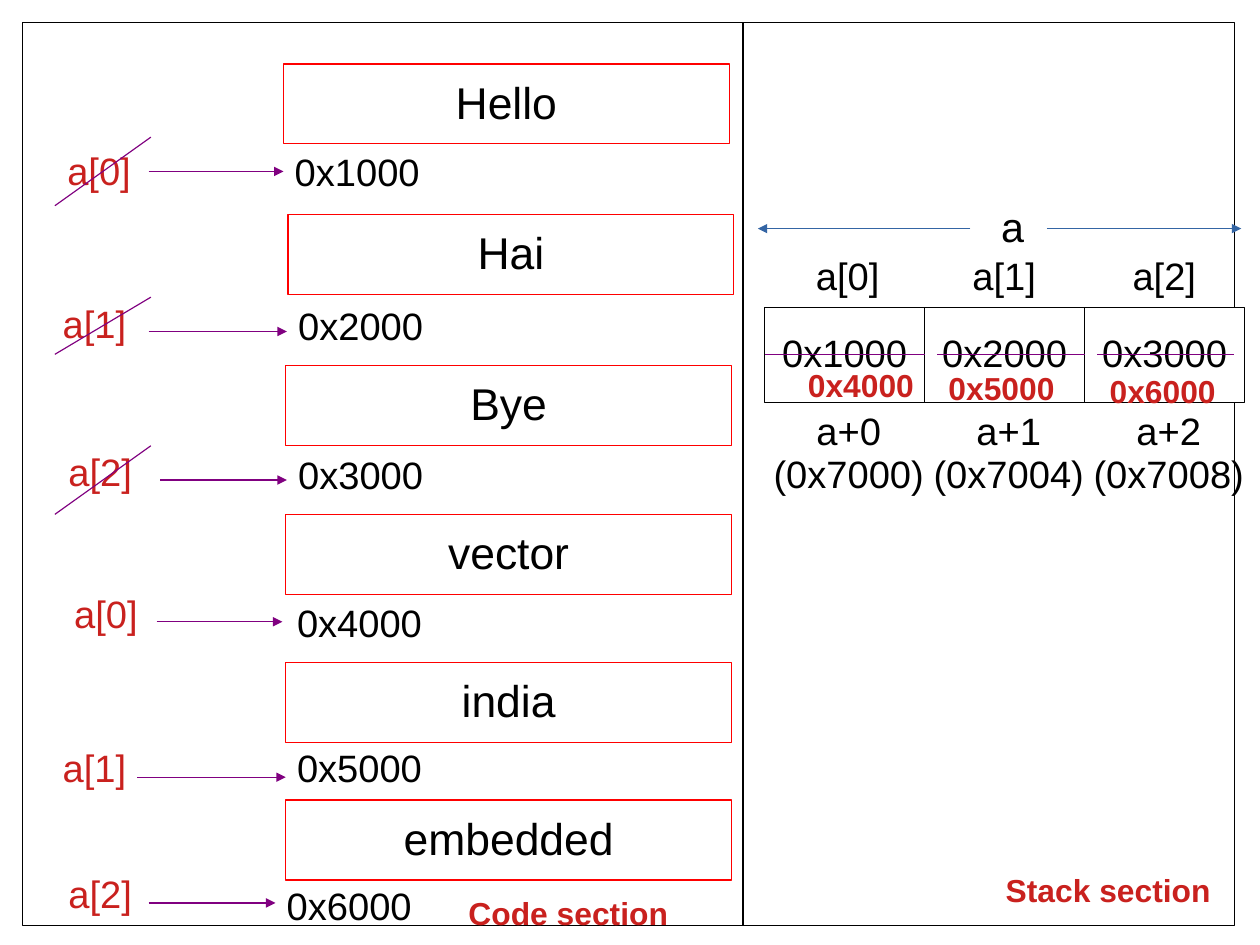
from lxml.etree import SubElement
from pptx import Presentation
from pptx.dml.color import RGBColor
from pptx.enum.shapes import MSO_CONNECTOR as CONN, MSO_SHAPE as SHAPE
from pptx.enum.text import MSO_ANCHOR as ANCHOR, PP_ALIGN as ALIGN
from pptx.oxml.ns import qn
from pptx.util import Inches, Pt

BLACK, WHITE, RED, CRIMSON = "000000", "FFFFFF", "FF0000", "C9211E"
PURPLE, BLUE = "800080", "3465A4"

# Code section: word, box (x, y), address, its (x, y),
# pointer, its (x, y), arrow (x1, x2, y), bottom of the strike or None
STRINGS = [
    ("Hello", (2.48, 0.56), "0x1000", (2.48, 1.28), "a[0]", (0.49, 1.27), (1.3, 2.48, 1.5), 1.8),
    ("Hai", (2.52, 1.88), "0x2000", (2.51, 2.63), "a[1]", (0.45, 2.61), (1.3, 2.51, 2.9), 3.1),
    ("Bye", (2.5, 3.2), "0x3000", (2.51, 3.93), "a[2]", (0.5, 3.91), (1.4, 2.51, 4.2), 4.5),
    ("vector", (2.5, 4.5), "0x4000", (2.5, 5.23), "a[0]", (0.55, 5.15), (1.37, 2.47, 5.44), None),
    ("india", (2.5, 5.8), "0x5000", (2.5, 6.5), "a[1]", (0.45, 6.5), (1.2, 2.5, 6.8), None),
    ("embedded", (2.5, 7), "0x6000", (2.41, 7.7), "a[2]", (0.5, 7.6), (1.3, 2.41, 7.9), None),
]
# Stack section: name, name x, old value, new value, its (x, y),
# offset, cell address, strike (x1, x2)
CELLS = [
    ("a[0]", 7.04, "0x1000", "0x4000", (6.97, 3.18), "a+0", "(0x7000)", (6.69, 8.09)),
    ("a[1]", 8.41, "0x2000", "0x5000", (8.2, 3.2), "a+1", "(0x7004)", (8.2, 9.49)),
    ("a[2]", 9.81, "0x3000", "0x6000", (9.61, 3.23), "a+2", "(0x7008)", (9.6, 10.8)),
]
CELL_X, CELL_Y, CELL_W, CELL_H = 6.69, 2.69, 1.4, 0.83
STRIKE_X1, STRIKE_X2, STRIKE_RISE = 1.32, 0.48, 0.3

# Slide of 28 by 21 cm
prs = Presentation()
prs.slide_width, prs.slide_height = Inches(28 / 2.54), Inches(21 / 2.54)
s = prs.slides.add_slide(prs.slide_layouts[6])


def rgb(color):
    return RGBColor.from_string(color)


def write(shape, text, size, color=BLACK, bold=False, align=ALIGN.LEFT, wrap=False):
    tf = shape.text_frame
    tf.text = text
    tf.word_wrap = wrap
    for p in tf.paragraphs:
        p.alignment, p.line_spacing = align, 0.94
        for r in p.runs:
            r.font.name, r.font.size, r.font.bold = "Arial", Pt(size), bold
            r.font.color.rgb = rgb(color)
    return tf


def rect(x, y, w, h, line, text="", size=24):
    sp = s.shapes.add_shape(SHAPE.RECTANGLE, Inches(x), Inches(y), Inches(w), Inches(h))
    sp.shadow.inherit = False
    sp.fill.solid()
    sp.fill.fore_color.rgb = rgb(WHITE)
    sp.line.color.rgb, sp.line.width = rgb(line), Pt(0.75)
    if text:
        write(sp, text, size, align=ALIGN.CENTER).vertical_anchor = ANCHOR.MIDDLE
    return sp


def label(x, y, w, h, text, size=24, color=BLACK, **style):
    sp = s.shapes.add_textbox(Inches(x), Inches(y), Inches(w), Inches(h))
    tf = write(sp, text, size, color, **style)
    if not tf.word_wrap:
        tf.margin_right = 0  # room to keep the text on one line
    return tf


def line(x1, y1, x2, y2, color, arrow=False):
    c = s.shapes.add_connector(CONN.STRAIGHT, Inches(x1), Inches(y1), Inches(x2), Inches(y2))
    c.line.color.rgb, c.line.width = rgb(color), Pt(0.75)
    if arrow:
        SubElement(c.line._get_or_add_ln(), qn("a:tailEnd"), type="triangle")
    SubElement(c._element.spPr, qn("a:effectLst"))
    return c


# Frame and divider
rect(0.2, 0.2, 10.6, 7.9, BLACK)
line(6.5, 0.2, 6.5, 8.1, BLACK)

# Code section
for word, box_at, address, address_at, pointer, pointer_at, (x1, x2, y), strike_end in STRINGS:
    rect(*box_at, 3.9, 0.7, RED, word, 28)
    label(*address_at, 1.29, 0.47, address)
    label(*pointer_at, 0.75, 0.39, pointer, color=CRIMSON)
    line(x1, y, x2, y, PURPLE, arrow=True)
    if strike_end:
        line(STRIKE_X1, y - STRIKE_RISE, STRIKE_X2, strike_end, PURPLE)

# Stack cells
cells = [rect(CELL_X + i * CELL_W, CELL_Y, CELL_W, CELL_H, BLACK, cell[2])
         for i, cell in enumerate(CELLS)]

# Names, strikes, new values and addresses of the cells
strikes = []
mid_y = CELL_Y + CELL_H / 2
for i, (name, name_x, _, new, new_at, offset, address, (x1, x2)) in enumerate(CELLS):
    label(name_x, 2.19, 0.75, 0.39, name)
    strikes.append(line(x1, mid_y, x2, mid_y, PURPLE))
    label(*new_at, 1.13, 0.41, new, 20, CRIMSON, bold=True)
    tf = label(CELL_X - 0.2 + i * CELL_W, 3.55, 1.8, 1.02, f"{offset}\n{address}",
               align=ALIGN.CENTER, wrap=True)
    tf.margin_left = Inches(0.17)
strikes[0].begin_connect(cells[0], 1)
strikes[0].end_connect(cells[0], 3)
strikes[1].end_connect(cells[1], 3)

# Span of the array
label(8.66, 1.75, 0.4, 0.42, "a", 26)
line(8.49, 2, 6.63, 2, BLUE, arrow=True)
line(9.16, 2, 10.86, 2, BLUE, arrow=True)

# Section titles
label(4, 7.8, 1.95, 0.41, "Code section", 20, CRIMSON, bold=True)
label(8.7, 7.6, 1.99, 0.41, "Stack section", 20, CRIMSON, bold=True)

prs.save("out.pptx")
